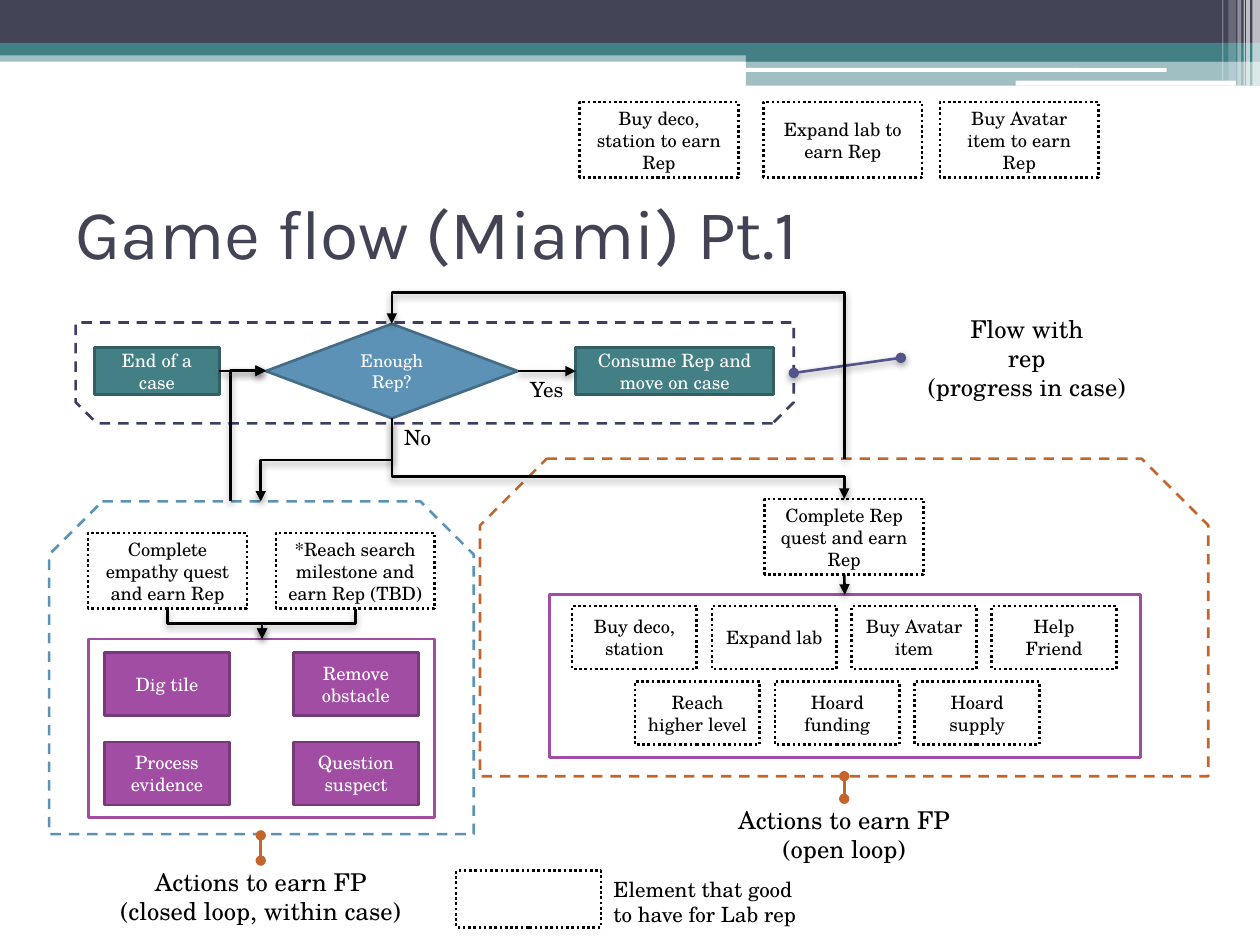
from dataclasses import dataclass
from typing import Optional

from lxml.etree import SubElement
from pptx import Presentation
from pptx.dml.color import RGBColor
from pptx.enum.dml import MSO_LINE
from pptx.enum.shapes import MSO_CONNECTOR, MSO_SHAPE
from pptx.enum.text import MSO_ANCHOR, PP_ALIGN
from pptx.oxml.ns import qn
from pptx.util import Inches, Pt

WHITE = RGBColor(0xFF, 0xFF, 0xFF)
BLACK = RGBColor(0x00, 0x00, 0x00)
NAVY = RGBColor(0x42, 0x44, 0x56)
TEAL = RGBColor(0x43, 0x80, 0x86)
DARK_TEAL = RGBColor(0x32, 0x5F, 0x63)
BLUE = RGBColor(0x5C, 0x92, 0xB5)
DARK_BLUE = RGBColor(0x44, 0x6C, 0x86)
INDIGO = RGBColor(0x3D, 0x3E, 0x66)
VIOLET = RGBColor(0x53, 0x54, 0x8A)
PURPLE = RGBColor(0xA0, 0x4D, 0xA3)
DARK_PURPLE = RGBColor(0x76, 0x39, 0x79)
ORANGE = RGBColor(0xC4, 0x65, 0x2D)

BODY_FONT, TITLE_FONT = "TeX Gyre Schola", "Karla"
RECT, SNIP = MSO_SHAPE.RECTANGLE, MSO_SHAPE.SNIP_2_SAME_RECTANGLE


@dataclass(frozen=True)
class Style:
    fill: Optional[RGBColor] = None
    line: Optional[RGBColor] = None
    dash: Optional[MSO_LINE] = None
    ink: RGBColor = WHITE
    size: float = 10.5
    alpha: int = 100


STEP = Style(TEAL, DARK_TEAL)
DECISION = Style(BLUE, DARK_BLUE, size=10)
TILE = Style(PURPLE, DARK_PURPLE)
DOTTED = Style(WHITE, BLACK, MSO_LINE.ROUND_DOT, BLACK)
FRAME = Style(line=PURPLE)

deck = Presentation()
deck.slide_width, deck.slide_height = Inches(10), Inches(7.5)
page = deck.slides.add_slide(deck.slide_layouts[5])
shapes = page.shapes


def write(frame, text: str, *, size: float, color: RGBColor = BLACK, font: str = BODY_FONT,
          align=PP_ALIGN.CENTER, anchor=MSO_ANCHOR.TOP) -> None:
    frame.word_wrap = True
    frame.vertical_anchor = anchor
    for index, line in enumerate(text.split("\n")):
        para = frame.paragraphs[0] if index == 0 else frame.add_paragraph()
        para.alignment = align
        span = para.add_run()
        span.text = line
        span.font.size, span.font.name = Pt(size), font
        span.font.color.rgb = color


def block(left: float, top: float, width: float, height: float, style: Style,
          text: str = "", kind=RECT, adjust: tuple = (), rotation: float = 0):
    box = shapes.add_shape(kind, Inches(left), Inches(top), Inches(width), Inches(height))
    box.shadow.inherit = False
    box.rotation = rotation
    for index, value in enumerate(adjust):
        box.adjustments[index] = value
    if style.fill is None:
        box.fill.background()
    else:
        box.fill.solid()
        box.fill.fore_color.rgb = style.fill
        if style.alpha < 100:
            color = box._element.spPr.find(qn("a:solidFill"))[0]
            SubElement(color, qn("a:alpha"), val=str(style.alpha * 1000))
    if style.line is None:
        box.line.fill.background()
    else:
        box.line.color.rgb, box.line.width = style.line, Pt(1.5)
        if style.dash is not None:
            box.line.dash_style = style.dash
    if text:
        write(box.text_frame, text, size=style.size, color=style.ink, anchor=MSO_ANCHOR.MIDDLE)
    return box


def label(left: float, top: float, width: float, height: float, text: str,
          size: float = 12, align=PP_ALIGN.LEFT) -> None:
    box = shapes.add_textbox(Inches(left), Inches(top), Inches(width), Inches(height))
    write(box.text_frame, text, size=size, align=align)


def link(start: tuple, end: tuple, color: RGBColor = BLACK, *, dots: bool = False,
         shadow: bool = True, kind=MSO_CONNECTOR.STRAIGHT):
    connector = shapes.add_connector(kind, *(Inches(value) for value in (*start, *end)))
    connector.line.color.rgb, connector.line.width = color, Pt(1.5)
    properties = connector._element.spPr
    stroke = properties.find(qn("a:ln"))
    if dots:
        SubElement(stroke, qn("a:headEnd"), type="oval")
    SubElement(stroke, qn("a:tailEnd"), type="oval" if dots else "triangle")
    effects = SubElement(properties, qn("a:effectLst"))
    if shadow:
        outer = SubElement(effects, qn("a:outerShdw"), blurRad=str(Pt(4.1)), dist=str(Pt(2)),
                           dir="5400000", rotWithShape="0")
        shade = SubElement(outer, qn("a:srgbClr"), val="000000")
        SubElement(shade, qn("a:alpha"), val="40000")
    return connector


def elbow(start: tuple, end: tuple, bend: Optional[float] = 0.5) -> None:
    """Draw an arrow that leaves vertically; bend None turns only once."""
    connector = link(start, end, kind=MSO_CONNECTOR.ELBOW)
    (x1, y1), (x2, y2) = start, end
    across, along = abs(x2 - x1), abs(y2 - y1)
    connector.left = Inches((x1 + x2 - along) / 2)
    connector.top = Inches((y1 + y2 - across) / 2)
    connector.width, connector.height = Inches(along), Inches(across)
    down = y2 > y1
    frame = connector._element.spPr.find(qn("a:xfrm"))
    for flip in ("flipH", "flipV"):
        frame.attrib.pop(flip, None)
    frame.set("rot", str((90 if down else 270) * 60000))
    if (x2 > x1) == down:
        frame.set("flipV", "1")
    shape = connector._element.spPr.find(qn("a:prstGeom"))
    if bend is None:
        shape.set("prst", "bentConnector2")
    else:
        values = shape.find(qn("a:avLst"))
        if values is None:
            values = SubElement(shape, qn("a:avLst"))
        SubElement(values, qn("a:gd"), name="adj1", fmla=f"val {round(bend * 100000)}")


# Header bands
for left, top, width, height, color, alpha in (
        (0, 0.4, 10, 0.09, TEAL, 50), (0, 0, 10, 0.34, NAVY, 100), (0, 0.34, 10, 0.1, TEAL, 100),
        (5.92, 0.39, 4.08, 0.1, TEAL, 100), (5.92, 0.48, 4.08, 0.2, TEAL, 50)):
    block(left, top, width, height, Style(color, alpha=alpha))
for left, top, width, height in ((5.91, 0.54, 3.35, 0.03), (8.06, 0.64, 1.75, 0.04)):
    block(left, top, width, height, Style(WHITE), kind=MSO_SHAPE.ROUNDED_RECTANGLE)
for left, width, height, alpha in (
        (9.94, 0.06, 0.68, 65), (9.89, 0.03, 0.68, 65), (9.87, 0.01, 0.68, 60),
        (9.82, 0.03, 0.68, 40), (9.75, 0.06, 0.64, 20), (9.7, 0.01, 0.64, 30)):
    block(left, 0, width, height, Style(WHITE, alpha=alpha))

# Title
title = shapes.title
title.left, title.top, title.width, title.height = (Inches(v) for v in (0.5, 1.25, 9, 1.17))
write(title.text_frame, "Game flow (Miami) Pt.1", size=40, color=NAVY, font=TITLE_FONT,
      align=PP_ALIGN.LEFT, anchor=MSO_ANCHOR.MIDDLE)

# Case progress flow
case_end = block(0.75, 2.76, 0.99, 0.37, STEP, "End of a case")
enough = block(2.11, 2.57, 2, 0.75, DECISION, "Enough Rep?", MSO_SHAPE.FLOWCHART_DECISION)
consume = block(4.57, 2.76, 1.57, 0.37, STEP, "Consume Rep and move on case")
for source, target in ((enough, consume), (case_end, enough)):
    arrow = link((0, 0), (1, 1))
    arrow.begin_connect(source, 3)
    arrow.end_connect(target, 1)
block(0.6, 2.56, 5.7, 0.8, Style(line=INDIGO, dash=MSO_LINE.DASH), kind=SNIP,
      adjust=(0.21, 0), rotation=180)
label(3.11, 3.32, 0.49, 0.3, "No")
label(4.11, 2.94, 0.49, 0.3, "Yes")
link((6.3, 2.96), (7.15, 2.84), VIOLET, dots=True)
label(7.15, 2.44, 2, 0.81, "Flow with\nrep\n(progress in case)", 14, PP_ALIGN.CENTER)

# Loop regions
block(0.39, 3.98, 3.37, 2.64, Style(WHITE, BLUE, MSO_LINE.DASH), kind=SNIP, adjust=(0.16, 0))
block(3.81, 3.64, 5.78, 2.52, Style(line=ORANGE, dash=MSO_LINE.DASH), kind=SNIP,
      adjust=(0.21, 0))

# Ways to earn rep
for left, top, text in (
        (0.7, 4.23, "Complete empathy quest and earn Rep"),
        (2.19, 4.23, "*Reach search milestone and earn Rep (TBD)"),
        (4.6, 0.81, "Buy deco, station to earn Rep"),
        (6.06, 0.81, "Expand lab to earn Rep"),
        (7.46, 0.81, "Buy Avatar item to earn Rep"),
        (6.07, 3.96, "Complete Rep quest and earn Rep")):
    block(left, top, 1.26, 0.6, DOTTED, text)

# Closed loop actions
block(0.7, 5.07, 2.75, 1.42, FRAME)
for index, text in enumerate(("Dig tile", "Remove obstacle", "Process evidence",
                              "Question suspect")):
    row, column = divmod(index, 2)
    block(0.83 + 1.5 * column, 5.18 + 0.71 * row, 0.99, 0.5, TILE, text)

# Open loop actions
quest_frame = block(4.36, 4.72, 4.69, 1.29, FRAME)
for left, top, names in (
        (4.54, 4.81, ("Buy deco, station", "Expand lab", "Buy Avatar item", "Help Friend")),
        (5.04, 5.41, ("Reach higher level", "Hoard funding", "Hoard supply"))):
    for column, text in enumerate(names):
        block(left + 1.11 * column, top, 0.99, 0.5, DOTTED, text)

# Arrows between the stages
elbow((3.11, 3.32), (6.7, 3.96), 0.72)
elbow((1.83, 3.98), (2.11, 2.94), None)
elbow((3.11, 3.32), (2.07, 3.98))
elbow((6.7, 3.64), (3.11, 2.57), 1.23)
for quest_center in (1.33, 2.82):
    elbow((quest_center, 4.83), (2.08, 5.07))
link((6.7, 4.56), (6.7, 4.72)).end_connect(quest_frame, 0)

# Region captions
for center, top, bottom, text in (
        (6.7, 6.16, 6.34, "Actions to earn FP\n(open loop)"),
        (2.07, 6.63, 6.83, "Actions to earn FP\n(closed loop, within case)")):
    link((center, top), (center, bottom), ORANGE, dots=True, shadow=False)
    label(center - 1.29, bottom, 2.58, 0.57, text, 14, PP_ALIGN.CENTER)

# Legend
block(3.62, 6.91, 1.15, 0.45, DOTTED)
label(4.77, 6.91, 1.75, 0.5, "Element that good to have for Lab rep")

deck.save("out.pptx")
